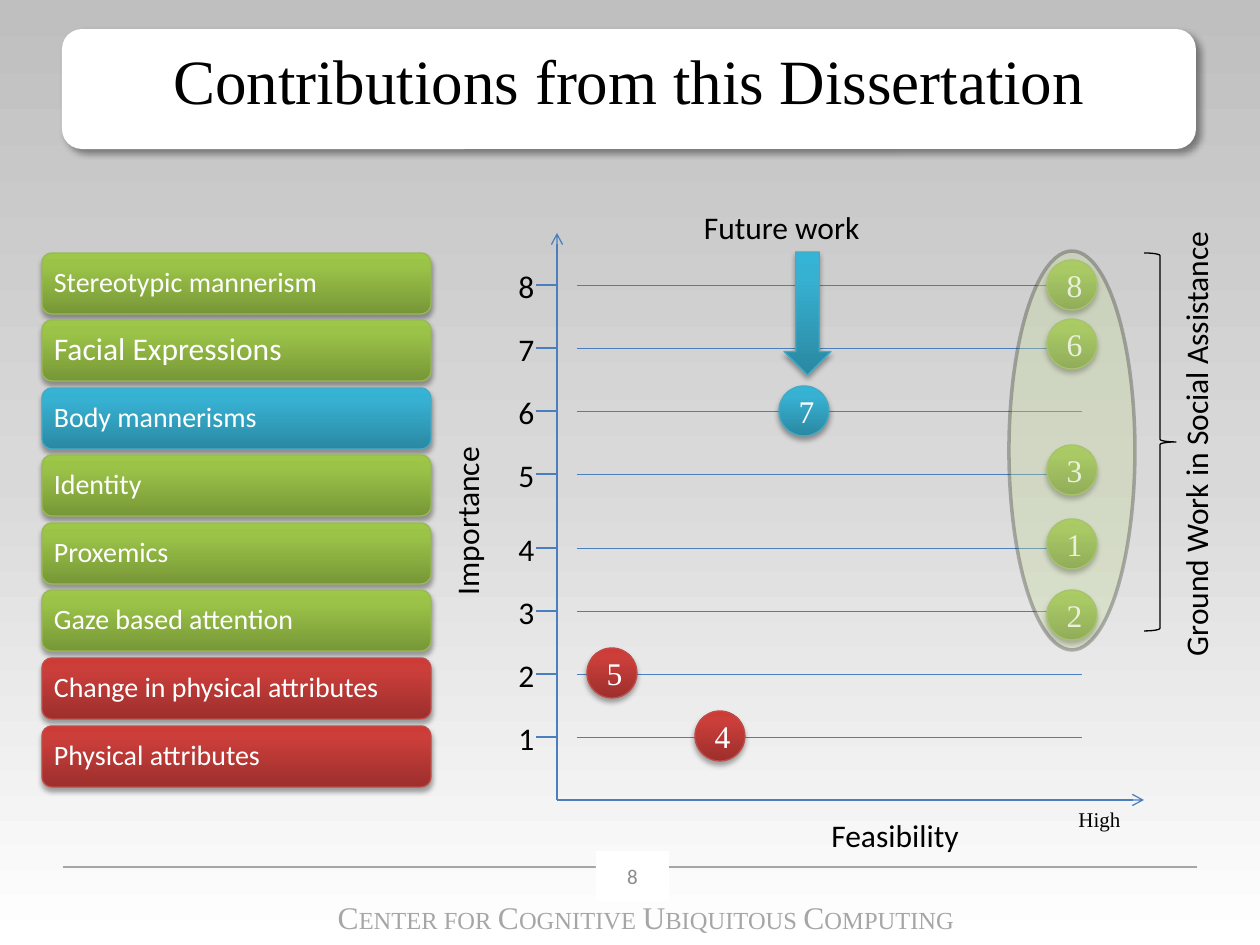
"""Builds the slide that ranks dissertation contributions by importance and feasibility."""
import pptx
import pptx.dml.color
import pptx.enum.dml
import pptx.enum.shapes
import pptx.enum.text
import pptx.oxml
import pptx.oxml.ns
import pptx.util

PX = 914400 / 126
SHAPES = pptx.enum.shapes.MSO_SHAPE
ALIGN = pptx.enum.text.PP_ALIGN
ANCHOR = pptx.enum.text.MSO_ANCHOR
RGB = pptx.dml.color.RGBColor.from_string
NAMESPACE = pptx.oxml.ns.nsdecls("a")
THEME = {
    "serif": "Times New Roman",
    "sans": "Calibri",
    "black": "000000",
    "white": "FFFFFF",
    "gray": "A6A6A6",
    "page": "8C8C8C",
    "axis": "4B7EBC",
    "halo": "C3D69B",
    "backdrop": ((0, "FFFFFF"), (50, "D9D9D9"), (100, "BFBFBF")),
    "green": ((0, "779737"), (80, "9BC348"), (100, "9DC746")),
    "blue": ((0, "2A88A2"), (80, "37B1D2"), (100, "34B4D6")),
    "red": ((0, "9C2F2D"), (80, "CB3E3A"), (100, "CE3B37")),
    "outline": {"green": "98B955", "blue": "46AAC5", "red": "BF4C48"},
    "title": 36, "body": 18, "bar": 16, "small_caps": 14, "note": 12,
}
LIFTED = (35, 3.1, 1.8, 90)

presentation = pptx.Presentation()
presentation.slide_width = round(1260 * PX)
presentation.slide_height = round(945 * PX)
slide = presentation.slides.add_slide(presentation.slide_layouts[6])


def draw_shape(kind, box, fill=None, line=None, shadow=None):
    shape = slide.shapes.add_shape(kind, *(round(value * PX) for value in box))
    shape.shadow.inherit = False
    if fill is None:
        shape.fill.background()
    else:
        shape.fill.solid()
        if isinstance(THEME[fill], str):
            shape.fill.fore_color.rgb = RGB(THEME[fill])
        else:
            stops = "".join(f'<a:gs pos="{position * 1000}"><a:srgbClr val="{color}"/></a:gs>'
                            for position, color in THEME[fill])
            solid = shape._element.spPr.find(pptx.oxml.ns.qn("a:solidFill"))
            solid.getparent().replace(solid, pptx.oxml.parse_xml(
                f'<a:gradFill {NAMESPACE} rotWithShape="1"><a:gsLst>{stops}</a:gsLst>'
                '<a:lin ang="16200000" scaled="0"/></a:gradFill>'))
    if line is None:
        shape.line.fill.background()
    else:
        shape.line.color.rgb = RGB(line)
        shape.line.width = pptx.util.Pt(0.75)
    if shadow:
        opacity, blur, distance, angle = shadow
        effects = shape._element.spPr.find(pptx.oxml.ns.qn("a:effectLst"))
        effects.append(pptx.oxml.parse_xml(
            f'<a:outerShdw {NAMESPACE} blurRad="{pptx.util.Pt(blur)}" dist="{pptx.util.Pt(distance)}" '
            f'dir="{angle * 60000}" rotWithShape="0"><a:srgbClr val="000000">'
            f'<a:alpha val="{opacity * 1000}"/></a:srgbClr></a:outerShdw>'))
    return shape


def write_text(shape, runs, font="sans", color="black", align=ALIGN.CENTER,
               anchor=ANCHOR.MIDDLE, wrap=True):
    frame = shape.text_frame
    frame.word_wrap = wrap
    frame.vertical_anchor = anchor
    paragraph = frame.paragraphs[0]
    paragraph.alignment = align
    for text, size in runs:
        run = paragraph.add_run()
        run.text = text
        run.font.name = THEME[font]
        run.font.size = pptx.util.Pt(THEME[size])
        run.font.color.rgb = RGB(THEME[color])
    return frame


draw_shape(SHAPES.RECTANGLE, (0, 0, 1260, 945), "backdrop")
title = draw_shape(SHAPES.ROUNDED_RECTANGLE, (62, 29, 1134, 120), "white", shadow=(40, 4, 3, 45))
write_text(title, [("Contributions from this Dissertation", "title")], "serif", anchor=ANCHOR.TOP)

levels = {rank: 737 - 63 * (rank - 1) - (11 if rank > 4 else 0) for rank in range(1, 9)}
lines = [((63, 867, 1197, 867), "gray", 0.75, None),
         ((557, 800, 1144, 800), "axis", 0.75, "arrow"),
         ((557, 800, 557, 233), "axis", 0.75, "arrow")]
for y in levels.values():
    lines.append(((536, y, 557, y), "axis", 0.75, None))
    lines.append(((577, y, 1081, y), "axis", 0.25, "dots"))
for ends, color, width, style in lines:
    connector = slide.shapes.add_connector(
        pptx.enum.shapes.MSO_CONNECTOR.STRAIGHT, *(round(value * PX) for value in ends))
    connector.line.color.rgb = RGB(THEME[color])
    connector.line.width = pptx.util.Pt(width)
    if style == "dots":
        connector.line.dash_style = pptx.enum.dml.MSO_LINE.ROUND_DOT
    if style == "arrow":
        connector.line._get_or_add_ln().append(
            pptx.oxml.parse_xml(f'<a:tailEnd {NAMESPACE} type="arrow"/>'))
    connector._element.spPr.append(pptx.oxml.parse_xml(f"<a:effectLst {NAMESPACE}/>"))

page_number = draw_shape(SHAPES.RECTANGLE, (596, 851, 73, 50), "white")
write_text(page_number, [("8", "note")], color="page")

footer = slide.shapes.add_textbox(*(round(value * PX) for value in (273, 892, 746, 50)))
footer_runs = []
for initial, rest in (("C", "ENTER FOR "), ("C", "OGNITIVE "), ("U", "BIQUITOUS "), ("C", "OMPUTING")):
    footer_runs += [(initial, "body"), (rest, "small_caps")]
write_text(footer, footer_runs, "serif", "gray", anchor=ANCHOR.TOP)

labels = [("Feasibility", (819, 810, 154, 50), 0, "sans", "body"),
          ("Importance", (379, 495, 175, 50), 270, "sans", "body"),
          ("Ground Work in Social Assistance", (968, 416, 455, 50), 270, "sans", "body"),
          ("High", (1066, 800, 68, 38), 0, "serif", "note"),
          ("Future work", (683, 202, 189, 50), 0, "sans", "body")]
labels += [(str(rank), (506, y - 24, 42, 50), 0, "sans", "body") for rank, y in levels.items()]
for text, box, rotation, font, size in labels:
    label = slide.shapes.add_textbox(*(round(value * PX) for value in box))
    label.rotation = rotation
    align = ALIGN.RIGHT if text == "Future work" else ALIGN.LEFT
    write_text(label, [(text, size)], font, align=align, anchor=ANCHOR.TOP, wrap=False)

for number, left, top, color in (
        (8, 1047, 260, "green"), (6, 1047, 319, "green"), (3, 1047, 445, "green"),
        (1, 1047, 519, "green"), (2, 1047, 590, "green"), (7, 779, 386, "blue"),
        (5, 587, 648, "red"), (4, 695, 711, "red")):
    circle = draw_shape(SHAPES.OVAL, (left, top, 50, 50), color, THEME["outline"][color], LIFTED)
    write_text(circle, [(str(number), "body")], "serif", "white")

contributions = (("Stereotypic mannerism", "green", "bar"), ("Facial Expressions", "green", "body"),
                 ("Body mannerisms", "blue", "bar"), ("Identity", "green", "bar"),
                 ("Proxemics", "green", "bar"), ("Gaze based attention", "green", "bar"),
                 ("Change in physical attributes", "red", "bar"), ("Physical attributes", "red", "bar"))
for index, (name, color, size) in enumerate(contributions):
    top = 253 + index * 473 // 7
    bar = draw_shape(SHAPES.ROUNDED_RECTANGLE, (42, top, 389, 61), color,
                     THEME["outline"][color], LIFTED)
    frame = write_text(bar, [(name, size)], color="white", align=ALIGN.LEFT)
    frame.margin_left = frame.margin_right = round(9 * PX)
    frame.paragraphs[0].line_spacing = 0.9

draw_shape(SHAPES.RIGHT_BRACE, (1144, 253, 32, 378), line=THEME["black"])
halo = draw_shape(SHAPES.OVAL, (1009, 251, 126, 399), "halo", THEME["black"])
halo.line.width = pptx.util.Pt(2)
for paint, opacity in ((halo.fill, 35), (halo.line.fill, 26)):
    color_element = paint._xPr.find(pptx.oxml.ns.qn("a:solidFill"))[0]
    color_element.append(pptx.oxml.parse_xml(f'<a:alpha {NAMESPACE} val="{opacity * 1000}"/>'))
draw_shape(SHAPES.DOWN_ARROW, (784, 252, 47, 123), "blue", THEME["outline"]["blue"], LIFTED)

presentation.save("out.pptx")
